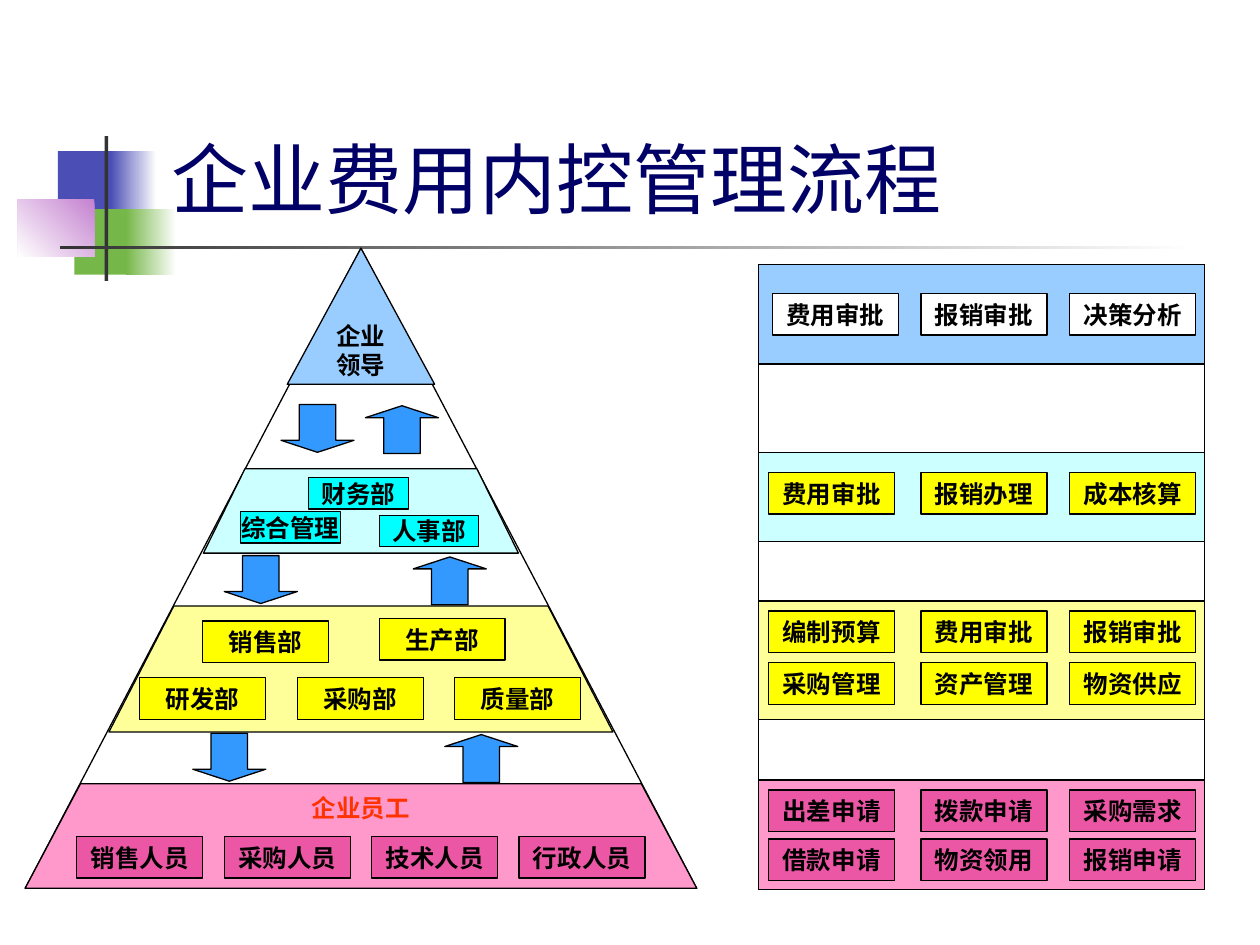
from pptx import Presentation
from pptx.dml.color import RGBColor
from pptx.enum.shapes import MSO_SHAPE
from pptx.enum.text import MSO_ANCHOR, PP_ALIGN
from pptx.util import Inches, Pt

BLACK = RGBColor(0x00, 0x00, 0x00)
WHITE = RGBColor(0xFF, 0xFF, 0xFF)
NAVY = RGBColor(0x00, 0x00, 0x66)
CHARCOAL = RGBColor(0x33, 0x33, 0x33)
INDIGO = RGBColor(0x4B, 0x4E, 0xB5)
GREEN = RGBColor(0x76, 0xB7, 0x49)
LILAC = RGBColor(0xC4, 0x81, 0xCF)
SKY = RGBColor(0x99, 0xCC, 0xFF)
ICE = RGBColor(0xCC, 0xFF, 0xFF)
CYAN = RGBColor(0x00, 0xFF, 0xFF)
CREAM = RGBColor(0xFF, 0xFF, 0x99)
YELLOW = RGBColor(0xFF, 0xFF, 0x00)
PINK = RGBColor(0xFF, 0x99, 0xCC)
MAGENTA = RGBColor(0xEB, 0x57, 0xA5)
ARROW_BLUE = RGBColor(0x33, 0x99, 0xFF)
ORANGE_RED = RGBColor(0xFF, 0x33, 0x00)

LABEL_SIZE = (1, 0.33)
SMALL_LABEL_SIZE = (0.79, 0.25)
ARROW_SIZE = (0.58, 0.38)


def paint(shape, fill, outlined=True):
    shape.shadow.inherit = False
    shape.fill.solid()
    shape.fill.fore_color.rgb = fill
    if outlined:
        shape.line.color.rgb = BLACK
        shape.line.width = Pt(0.75)
    else:
        shape.line.fill.background()


def write(shape, lines, color=BLACK, anchor=MSO_ANCHOR.MIDDLE):
    frame = shape.text_frame
    frame.word_wrap = False
    frame.vertical_anchor = anchor
    frame.text = "\n".join(lines)
    for para in frame.paragraphs:
        para.alignment = PP_ALIGN.CENTER
        para.font.name = "Arial"
        para.font.size = Pt(14)
        para.font.bold = True
        para.font.color.rgb = color


def add_block(page, kind, box, fill, lines=(), outlined=True):
    block = page.shapes.add_shape(kind, *map(Inches, box))
    paint(block, fill, outlined)
    if lines:
        write(block, lines)
    return block


def add_gradient(page, box, start, end, angle=180):
    block = add_block(page, MSO_SHAPE.RECTANGLE, box, start, outlined=False)
    block.fill.gradient()
    block.fill.gradient_angle = angle
    for stop, color in zip(block.fill.gradient_stops, (start, end)):
        stop.color.rgb = color


def add_trapezoid(page, box, inset, fill):
    left, top, width, height = map(Inches, box)
    right, bottom, slope = left + width, top + height, Inches(inset)
    builder = page.shapes.build_freeform(left, bottom)
    builder.add_line_segments(
        [(left + slope, top), (right - slope, top), (right, bottom)], close=True)
    tier = builder.convert_to_shape()
    paint(tier, fill)
    return tier


def add_ornament(page, box):
    """Coloured squares crossed by a vertical bar and a fading rule."""
    x, y, width, height = box
    squares = [(0.32, 0.12, 0.48, 0.52, INDIGO), (0.45, 0.58, 0.46, 0.52, GREEN)]
    fades = [(0.74, 0.36), (0.86, 0.4)]
    for (dx, dy, w, h, color), (fade_x, fade_w) in zip(squares, fades):
        add_block(page, MSO_SHAPE.RECTANGLE, (x + dx, y + dy, w, h), color,
                  outlined=False)
        add_gradient(page, (x + fade_x, y + dy, fade_w, h), WHITE, color)
    add_gradient(page, (x, y + 0.5, 0.61, 0.46), LILAC, WHITE, 225)
    add_block(page, MSO_SHAPE.RECTANGLE, (x + 0.69, y, 0.03, height), CHARCOAL,
              outlined=False)
    add_gradient(page, (x + 0.34, y + 0.87, width - 0.34, 0.03), WHITE, CHARCOAL)


def add_title(page, box):
    title = page.shapes.add_textbox(*map(Inches, box))
    frame = title.text_frame
    frame.word_wrap = True
    frame.vertical_anchor = MSO_ANCHOR.BOTTOM
    frame.text = "企业费用内控管理流程"
    para = frame.paragraphs[0]
    para.font.name = "Roboto"
    para.font.size = Pt(44)
    para.font.color.rgb = NAVY


def add_pyramid(page, box):
    """Four staff tiers, each linked to the next by a pair of arrows."""
    x, y, width, height = box
    middle = x + width / 2
    add_block(page, MSO_SHAPE.FLOWCHART_EXTRACT, box, WHITE)

    # Tiers: top, width, height, inset of the upper corners, fill
    staff, departments, offices = [
        add_trapezoid(page, (middle - w / 2, y + top, w, h), inset, fill)
        for top, w, h, inset, fill in [
            (4.25, width, 0.83, 0.44, PINK),
            (2.84, 4, 1, 0.515, CREAM),
            (1.75, 2.5, 0.67, 0.33, ICE)]]
    write(staff, ["企业员工"], ORANGE_RED, MSO_ANCHOR.TOP)
    staff.text_frame.margin_top = Inches(0.07)
    add_block(page, MSO_SHAPE.FLOWCHART_EXTRACT,
              (middle - 0.585, y, 1.17, 1.08), SKY, ["企业", "领导"])

    # Evenly spaced rows of labels: left, top, step, names, fill
    for left, top, step, names, fill in [
            (0.41, 4.67, 1.17, ["销售人员", "采购人员", "技术人员", "行政人员"], MAGENTA),
            (0.91, 3.41, 1.25, ["研发部", "采购部", "质量部"], YELLOW)]:
        for column, name in enumerate(names):
            add_block(page, MSO_SHAPE.RECTANGLE,
                      (x + left + column * step, y + top, *LABEL_SIZE), fill, [name])

    # Staggered labels
    for left, top, size, name, fill in [
            (1.41, 2.96, LABEL_SIZE, "销售部", YELLOW),
            (2.81, 2.94, LABEL_SIZE, "生产部", YELLOW),
            (2.25, 1.82, SMALL_LABEL_SIZE, "财务部", CYAN),
            (2.81, 2.12, SMALL_LABEL_SIZE, "人事部", CYAN),
            (1.71, 2.09, SMALL_LABEL_SIZE, "综合管理", CYAN)]:
        add_block(page, MSO_SHAPE.RECTANGLE, (x + left, y + top, *size), fill, [name])

    # Arrow pairs: left of the down arrow, left of the up arrow, top
    for down, up, top in [(2.03, 2.7, 1.24), (1.58, 3.08, 2.44), (1.33, 3.33, 3.85)]:
        for kind, left, drop in [(MSO_SHAPE.DOWN_ARROW, down, 0),
                                 (MSO_SHAPE.UP_ARROW, up, 0.01)]:
            arrow = add_block(page, kind, (x + left, y + top + drop, *ARROW_SIZE),
                              ARROW_BLUE)
            arrow.adjustments[1] = 0.25


def add_task_panel(page, box):
    """Bands of tasks, level with the tiers of the pyramid."""
    x, y, width, height = box
    columns = (0.08, 1.29, 2.47)
    top_columns = (0.11, *columns[1:])
    add_block(page, MSO_SHAPE.RECTANGLE, box, WHITE)

    # Bands: top, height, fill, label fill, columns, rows of (top, names)
    for top, band_height, fill, label_fill, lefts, rows in [
            (4.09, 0.87, PINK, MAGENTA, columns,
             [(4.17, ["出差申请", "拨款申请", "采购需求"]),
              (4.56, ["借款申请", "物资领用", "报销申请"])]),
            (2.67, 0.94, CREAM, YELLOW, columns,
             [(2.75, ["编制预算", "费用审批", "报销审批"]),
              (3.16, ["采购管理", "资产管理", "物资供应"])]),
            (1.49, 0.71, ICE, YELLOW, columns,
             [(1.65, ["费用审批", "报销办理", "成本核算"])]),
            (0, 0.79, SKY, WHITE, top_columns,
             [(0.23, ["费用审批", "报销审批", "决策分析"])])]:
        add_block(page, MSO_SHAPE.RECTANGLE, (x, y + top, width, band_height), fill)
        for row_top, names in rows:
            for left, name in zip(lefts, names):
                add_block(page, MSO_SHAPE.RECTANGLE,
                          (x + left, y + row_top, *LABEL_SIZE), label_fill, [name])


def main():
    deck = Presentation()
    deck.slide_width, deck.slide_height = Inches(10), Inches(7.5)
    page = deck.slides.add_slide(deck.slide_layouts[6])
    add_ornament(page, (0.14, 1.08, 9.34, 1.15))
    add_title(page, (1.26, 0.23, 8.52, 1.6))
    add_pyramid(page, (0.2, 1.97, 5.33, 5.08))
    add_task_panel(page, (6.02, 2.1, 3.54, 4.96))
    deck.save("out.pptx")


if __name__ == "__main__":
    main()
